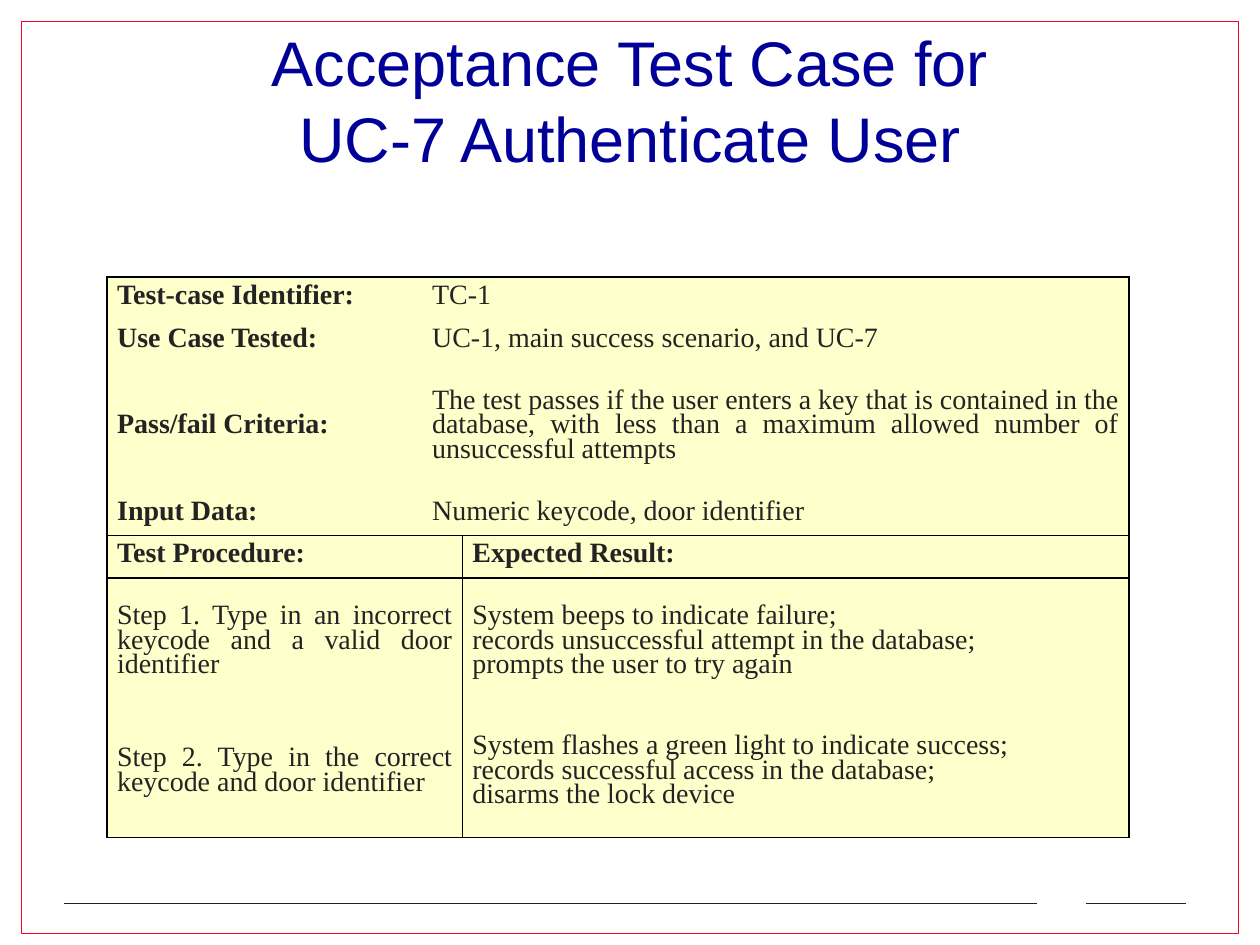
from lxml import etree
from pptx import Presentation
from pptx.dml.color import RGBColor
from pptx.enum.shapes import MSO_CONNECTOR, MSO_SHAPE
from pptx.enum.text import MSO_ANCHOR, PP_ALIGN
from pptx.oxml.ns import qn
from pptx.util import Inches, Pt

STRAIGHT = MSO_CONNECTOR.STRAIGHT
RECTANGLE = MSO_SHAPE.RECTANGLE
MIDDLE = MSO_ANCHOR.MIDDLE
CENTER, LEFT, JUSTIFY = PP_ALIGN.CENTER, PP_ALIGN.LEFT, PP_ALIGN.JUSTIFY

RED = RGBColor(0xFC, 0x01, 0x28)
NAVY = RGBColor(0x00, 0x00, 0x99)
INK = RGBColor(0x23, 0x23, 0x23)
CREAM = RGBColor(0xFF, 0xFF, 0xCC)
BLACK = RGBColor(0x00, 0x00, 0x00)

COLUMN_WIDTHS = (2.5, 0.32, 5.29)
ROW_HEIGHTS = (0.34, 0.34, 1.03, 0.34, 0.34, 1.03, 1.03)
FOOTER_RULES = ((0.51, 1.92), (1.85, 8.23), (8.62, 9.41))

SUMMARY = (
    ("Test-case Identifier:", "TC-1"),
    ("Use Case Tested:", "UC-1, main success scenario, and UC-7"),
    ("Pass/fail Criteria:",
     "The test passes if the user enters a key that is contained in the "
     "database, with less than a maximum allowed number of unsuccessful attempts"),
    ("Input Data:", "Numeric keycode, door identifier"),
)
PROCEDURE_HEADINGS = ("Test Procedure:", "Expected Result:")
STEPS = (
    ("Step 1. Type in an incorrect keycode and a valid door identifier",
     "System beeps to indicate failure;\n"
     "records unsuccessful attempt in the database;\n"
     "prompts the user to try again"),
    ("Step 2. Type in the correct keycode and door identifier",
     "System flashes a green light to indicate success;\n"
     "records successful access in the database;\n"
     "disarms the lock device"),
)


def write_lines(paragraph, text, font, size, color, bold=False):
    for index, line in enumerate(text.split("\n")):
        if index:
            paragraph.add_line_break()
        run = paragraph.add_run()
        run.text = line
        run.font.name = font
        run.font.size = Pt(size)
        run.font.color.rgb = color
        run.font.bold = bold


def add_frame(slide, left, top, width, height):
    frame = slide.shapes.add_shape(
        RECTANGLE, Inches(left), Inches(top), Inches(width), Inches(height))
    frame.shadow.inherit = False
    frame.fill.background()
    frame.line.color.rgb = RED
    frame.line.width = Pt(1)


def add_footer_rules(slide, top):
    for start, end in FOOTER_RULES:
        rule = slide.shapes.add_connector(
            STRAIGHT, Inches(start), Inches(top), Inches(end), Inches(top))
        rule.line.color.rgb = INK
        rule.line.width = Pt(1)
        etree.SubElement(rule._element.spPr, qn("a:effectLst"))


def add_title(slide, left, top, width, height):
    title = slide.shapes.add_textbox(
        Inches(left), Inches(top), Inches(width), Inches(height))
    title.text_frame.word_wrap = True
    title.text_frame.vertical_anchor = MIDDLE
    paragraph = title.text_frame.paragraphs[0]
    paragraph.alignment = CENTER
    write_lines(paragraph, "Acceptance Test Case for\nUC-7 Authenticate User",
                "Arial", 36, NAVY)


def set_borders(cell, visible_sides):
    properties = cell._tc.get_or_add_tcPr()
    for position, side in enumerate("LRTB"):
        border = etree.Element(qn(f"a:ln{side}"), w=str(Pt(1)))
        if side in visible_sides:
            fill = etree.SubElement(border, qn("a:solidFill"))
            etree.SubElement(fill, qn("a:srgbClr"), val=str(BLACK))
        else:
            etree.SubElement(border, qn("a:noFill"))
        properties.insert(position, border)


def fill_cell(cell, text, bold, alignment):
    cell.vertical_anchor = MIDDLE
    cell.margin_left = cell.margin_right = Inches(0.08)
    cell.margin_top = cell.margin_bottom = 0
    paragraph = cell.text_frame.paragraphs[0]
    paragraph.alignment = alignment
    paragraph.line_spacing = Pt(14)
    paragraph.space_before = Pt(6)
    write_lines(paragraph, text, "Times New Roman", 16, INK, bold)


def add_test_case(slide, left, top):
    rows = SUMMARY + (PROCEDURE_HEADINGS,) + STEPS
    heading_row = len(SUMMARY)
    last_row, last_column = len(rows) - 1, len(COLUMN_WIDTHS) - 1
    table = slide.shapes.add_table(
        len(rows), len(COLUMN_WIDTHS), Inches(left), Inches(top),
        Inches(sum(COLUMN_WIDTHS)), Inches(sum(ROW_HEIGHTS))).table
    table.first_row = table.horz_banding = False
    for column, width in zip(table.columns, COLUMN_WIDTHS):
        column.width = Inches(width)

    for r, texts in enumerate(rows):
        table.rows[r].height = Inches(ROW_HEIGHTS[r])
        in_summary = r < heading_row
        spans = ((0, 0), (1, 2)) if in_summary else ((0, 1), (2, 2))
        row_sides = "T" if r in (0, heading_row, heading_row + 1) else ""
        row_sides += "B" if r in (heading_row - 1, heading_row, last_row) else ""
        for part, ((first, last), text) in enumerate(zip(spans, texts)):
            sides = row_sides
            sides += "L" if first == 0 or not in_summary else ""
            sides += "R" if last == last_column or not in_summary else ""
            for c in range(first, last + 1):
                cell = table.cell(r, c)
                cell.fill.solid()
                cell.fill.fore_color.rgb = CREAM
                set_borders(cell, sides)
            if last > first:
                table.cell(r, first).merge(table.cell(r, last))
            bold = r == heading_row or (in_summary and part == 0)
            alignment = LEFT if r > heading_row and part == 1 else JUSTIFY
            fill_cell(table.cell(r, first), text, bold, alignment)


def main():
    presentation = Presentation()
    presentation.slide_width = Inches(10)
    presentation.slide_height = Inches(7.5)
    slide = presentation.slides.add_slide(presentation.slide_layouts[6])
    add_frame(slide, 0.17, 0.17, 9.66, 7.24)
    add_footer_rules(slide, 7.17)
    add_title(slide, 0.75, 0.5, 8.5, 0.58)
    add_test_case(slide, 0.85, 2.2)
    presentation.save("out.pptx")


if __name__ == "__main__":
    main()
